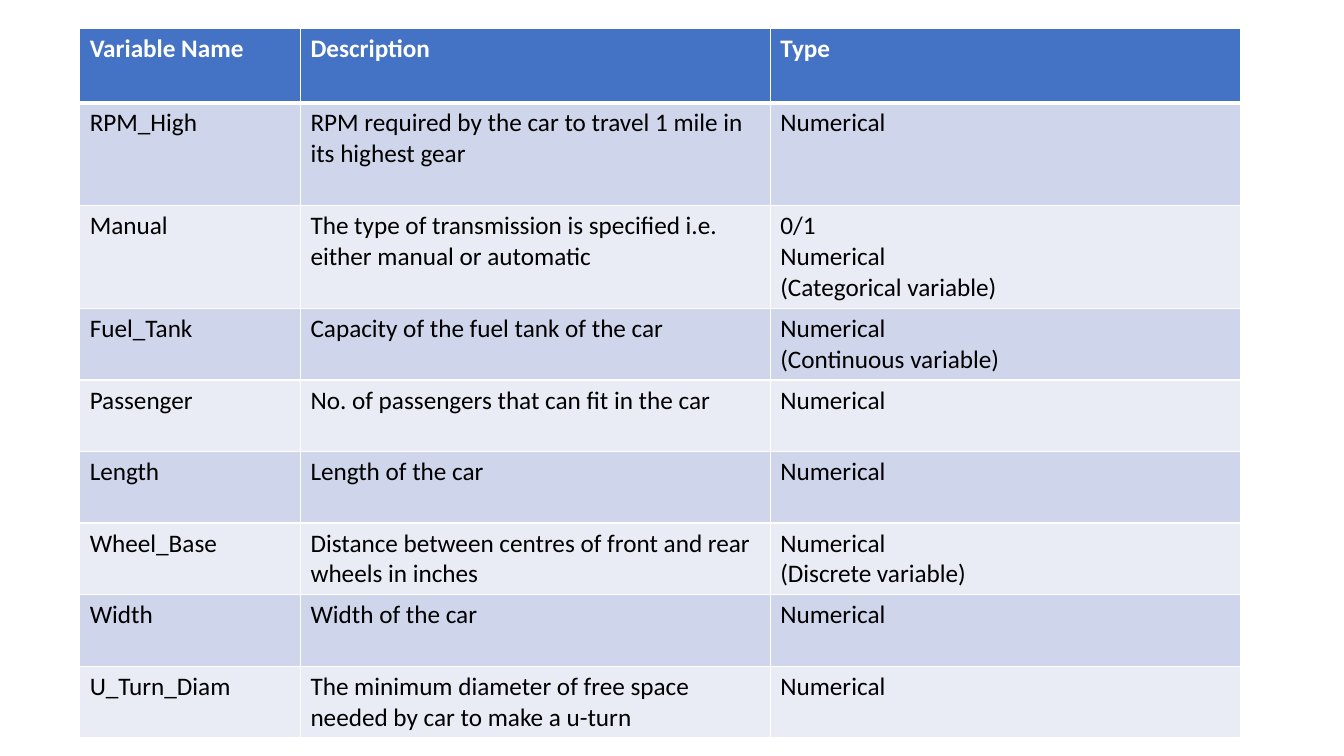
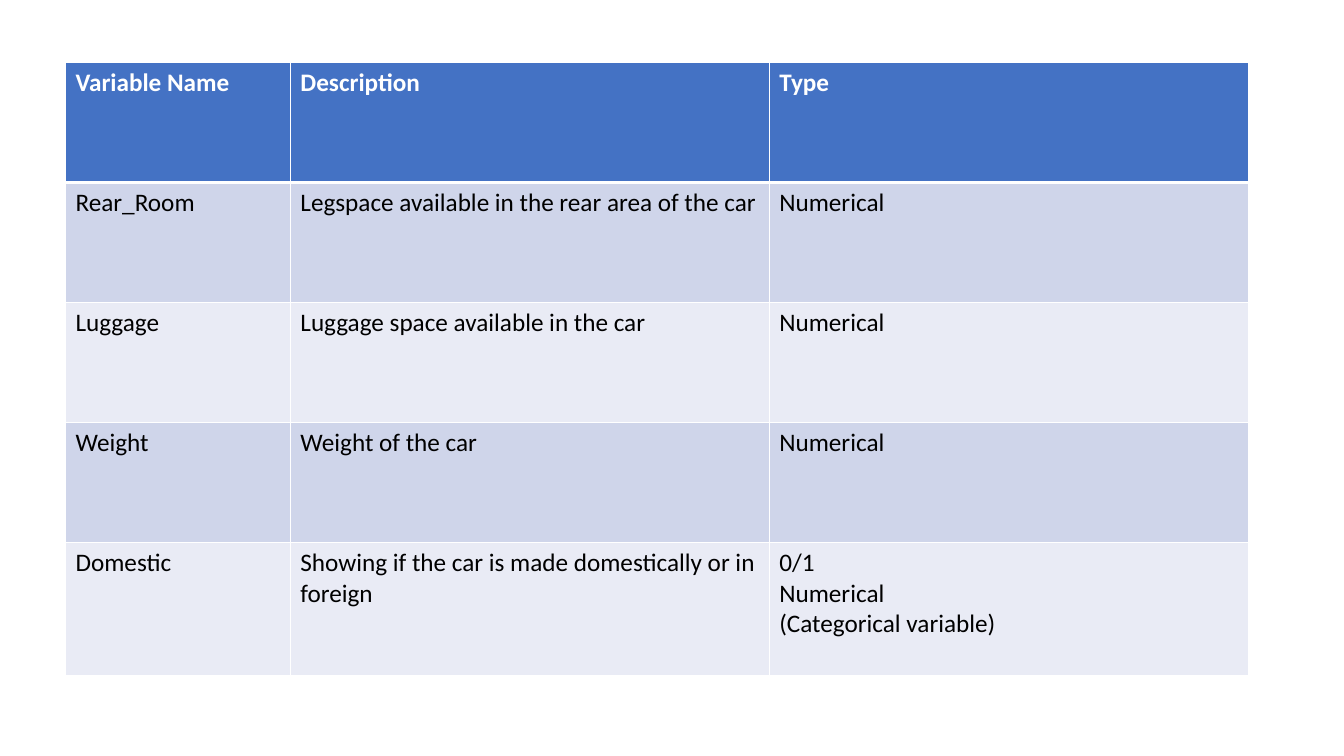
from dataclasses import dataclass

from lxml.etree import SubElement
from pptx import Presentation
from pptx.dml.color import RGBColor as RGB
from pptx.oxml.ns import qn
from pptx.util import Inches, Pt


@dataclass(frozen=True)
class Theme:
    font: str = "Calibri"
    size: int = 18
    head: str = "4472C4"
    bands: tuple = ("CFD5EA", "E9EBF5")
    light: str = "FFFFFF"
    dark: str = "000000"
    thin: int = 1
    thick: int = 3


THEME = Theme()
HEADS = ("Variable Name", "Description", "Type")
NUM = "Numerical"
FLAG = "0/1\nNumerical\n(Categorical variable)"

SPECS = [
    ("RPM_High", "RPM required by the car to travel 1 mile in its highest gear", NUM),
    ("Manual", "The type of transmission is specified i.e. either manual or automatic", FLAG),
    ("Fuel_Tank", "Capacity of the fuel tank of the car", "Numerical\n(Continuous variable)"),
    ("Passenger", "No. of passengers that can fit in the car", NUM),
    ("Length", "Length of the car", NUM),
    ("Wheel_Base", "Distance between centres of front and rear wheels in inches",
     "Numerical\n(Discrete variable)"),
    ("Width", "Width of the car", NUM),
    ("U_Turn_Diam", "The minimum diameter of free space needed by car to make a u-turn", NUM),
]
SPACE = [
    ("Rear_Room", "Legspace available in the rear area of the car", NUM),
    ("Luggage", "Luggage space available in the car", NUM),
    ("Weight", "Weight of the car", NUM),
    ("Domestic", "Showing if the car is made domestically or in foreign", FLAG),
]


def add_edges(cell, row):
    """Draw thin cell borders, with a thick rule under the header row."""
    props = cell._tc.get_or_add_tcPr()
    heavy = {0: "lnB", 1: "lnT"}.get(row)
    for side in ("lnL", "lnR", "lnT", "lnB"):
        width = THEME.thick if side == heavy else THEME.thin
        line = SubElement(props, qn(f"a:{side}"), w=str(Pt(width)))
        fill = SubElement(line, qn("a:solidFill"))
        SubElement(fill, qn("a:srgbClr"), val=THEME.light)


def fill_cell(cell, text, row):
    is_head = row == 0
    add_edges(cell, row)
    cell.fill.solid()
    back = THEME.head if is_head else THEME.bands[(row - 1) % 2]
    cell.fill.fore_color.rgb = RGB.from_string(back)
    cell.text_frame.text = text
    for para in cell.text_frame.paragraphs:
        for run in para.runs:
            font = run.font
            font.name, font.size, font.bold = THEME.font, Pt(THEME.size), is_head
            font.color.rgb = RGB.from_string(THEME.light if is_head else THEME.dark)


def add_grid(deck, left, top, widths, heights, items):
    """Add a slide holding one table of variables."""
    slide = deck.slides.add_slide(deck.slide_layouts[6])
    rows = [HEADS, *items]
    table = slide.shapes.add_table(
        len(rows), len(HEADS), Inches(left), Inches(top),
        Inches(sum(widths)), Inches(sum(heights))).table
    for col, width in zip(table.columns, widths):
        col.width = Inches(width)
    for row, height in zip(table.rows, heights):
        row.height = Inches(height)
    for r, texts in enumerate(rows):
        for c, text in enumerate(texts):
            fill_cell(table.cell(r, c), text, r)


def main():
    deck = Presentation()
    deck.slide_width, deck.slide_height = Inches(13.33), Inches(7.5)
    add_grid(deck, 0.79, 0.28, (2.19, 4.66, 4.66),
             (0.74, 1.02, 1.02) + (0.71,) * 6, SPECS)
    add_grid(deck, 0.65, 0.62, (2.23, 4.75, 4.75),
             (1.19,) * 4 + (1.32,), SPACE)
    deck.save("out.pptx")


if __name__ == "__main__":
    main()
